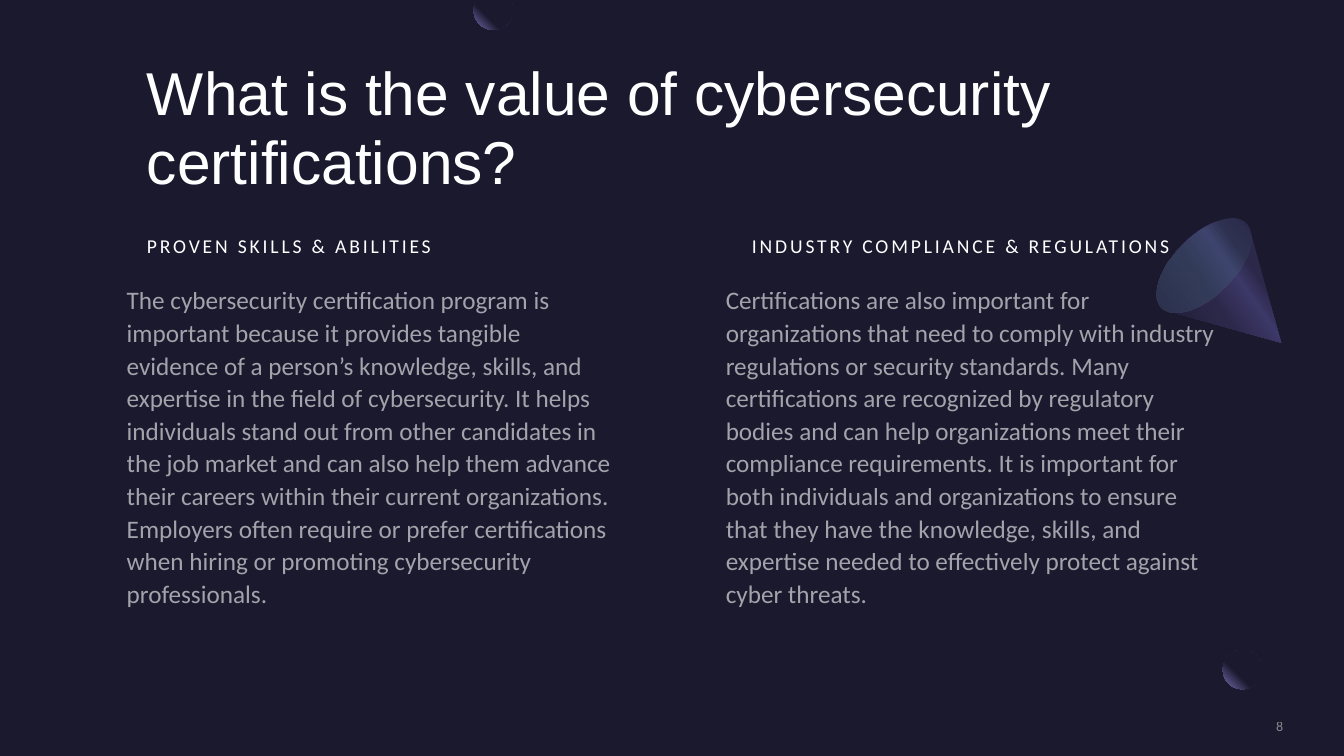
import math
import pptx
import pptx.util
import pptx.dml.color
import pptx.enum.shapes
import pptx.enum.text
import pptx.oxml
import pptx.oxml.ns
import lxml.etree

Pt = pptx.util.Pt
RGBColor = pptx.dml.color.RGBColor
MSO_SHAPE = pptx.enum.shapes.MSO_SHAPE
PP_ALIGN = pptx.enum.text.PP_ALIGN
MSO_ANCHOR = pptx.enum.text.MSO_ANCHOR
qn = pptx.oxml.ns.qn

NIGHT = RGBColor(0x1B, 0x19, 0x2E)
LAVENDER = RGBColor(0x77, 0x71, 0xB2)
CONE_DARK = RGBColor(0x2C, 0x28, 0x4A)
CONE_LIGHT = RGBColor(0x3C, 0x38, 0x67)
BASE_PURPLE = RGBColor(0x45, 0x40, 0x75)
BASE_MINT = RGBColor(0x5B, 0xEF, 0xC1)
WHITE = RGBColor(0xFF, 0xFF, 0xFF)
GREY = RGBColor(0xA6, 0xA6, 0xA6)

# Direction elements of the two kinds of gradient
BALL_SHADE = ('<a:path path="circle"><a:fillToRect l="100000" t="0" r="0" b="100000"/>'
              '</a:path>')
BALL_STOPS = [(60, NIGHT, 100), (100, LAVENDER, 100)]
LINEAR_SHADE = '<a:lin ang="{}" scaled="0"/>'


def paint_gradient(shape, stops, shade):
    """Fill a shape from (position, colour, opacity) stops, without line or shadow."""
    shape.shadow.inherit = False
    shape.line.fill.background()
    shape.fill.background()
    stop_xml = "".join(
        f'<a:gs pos="{position * 1000}"><a:srgbClr val="{colour}">'
        f'<a:alpha val="{opacity * 1000}"/></a:srgbClr></a:gs>'
        for position, colour, opacity in stops)
    gradient = pptx.oxml.parse_xml(
        f'<a:gradFill {pptx.oxml.ns.nsdecls("a")} rotWithShape="1">'
        f'<a:gsLst>{stop_xml}</a:gsLst>{shade}</a:gradFill>')
    properties = shape._element.spPr
    properties.replace(properties.find(qn("a:noFill")), gradient)


def ellipse_arc(centre, radii, tilt, start, end):
    """Return points along a tilted ellipse, angles in degrees, lengths in points."""
    cos_tilt, sin_tilt = math.cos(math.radians(tilt)), math.sin(math.radians(tilt))
    points = []
    for angle in range(start, end + 1, 4):
        along = radii[0] * math.cos(math.radians(angle))
        across = radii[1] * math.sin(math.radians(angle))
        points.append((Pt(centre[0] + along * cos_tilt - across * sin_tilt),
                       Pt(centre[1] + along * sin_tilt + across * cos_tilt)))
    return points


presentation = pptx.Presentation()
presentation.slide_width, presentation.slide_height = Pt(960), Pt(540)
slide = presentation.slides.add_slide(presentation.slide_layouts[4])
slide.background.fill.solid()
slide.background.fill.fore_color.rgb = NIGHT
shapes = slide.shapes

# Lower ball and the veil over its right side
ball = shapes.add_shape(MSO_SHAPE.OVAL, Pt(873.4), Pt(464.4), Pt(28), Pt(28))
paint_gradient(ball, BALL_STOPS, BALL_SHADE)
veil = shapes.add_shape(MSO_SHAPE.RECTANGLE, Pt(901.4), Pt(458.6), Pt(29.5), Pt(28))
paint_gradient(veil, [(0, NIGHT, 80), (100, NIGHT, 80)], LINEAR_SHADE.format(0))

# Cone: side first, then its base
outlines = [
    (ellipse_arc((860, 189.4), (42.5, 21.25), -45, 164, 376) + [(Pt(915.1), Pt(244.8))],
     [(30, CONE_DARK, 100), (40, CONE_LIGHT, 100), (60, CONE_DARK, 100), (100, NIGHT, 100)],
     LINEAR_SHADE.format(145 * 60000)),
    # Upper ball, cut by the top edge of the slide
    (ellipse_arc((352.4, 7.4), (14, 14), 0, -32, 212), BALL_STOPS, BALL_SHADE),
]
for points, stops, shade in outlines:
    builder = shapes.build_freeform(*points[0])
    builder.add_line_segments(points[1:], close=True)
    paint_gradient(builder.convert_to_shape(), stops, shade)

cone_base = shapes.add_shape(MSO_SHAPE.OVAL, Pt(838.75), Pt(146.9), Pt(42.5), Pt(85))
cone_base.rotation = 225
paint_gradient(cone_base, [(0, BASE_PURPLE, 33), (100, BASE_MINT, 0)],
               LINEAR_SHADE.format(90 * 60000))

# Text: shape, box, wording, size, font, colour, opacity, line spacing, tracking, anchor, align
title, left_head, left_body, right_head, right_body = list(slide.placeholders)[:5]
page_number = shapes.add_textbox(0, 0, 0, 0)
TOP, BOTTOM, MIDDLE = MSO_ANCHOR.TOP, MSO_ANCHOR.BOTTOM, MSO_ANCHOR.MIDDLE
LEFT, RIGHT = PP_ALIGN.LEFT, PP_ALIGN.RIGHT
texts = [
    (title, (105, 43.2, 771, 96), "What is the value of cybersecurity certifications?",
     43.2, "Arial", WHITE, 100, 0.95, 0, TOP, LEFT),
    (left_head, (105, 166.3, 233, 17.3), "PROVEN SKILLS & ABILITIES",
     14, "Calibri", WHITE, 100, 1.1, 200, BOTTOM, LEFT),
    (left_body, (90.5, 201.6, 350.6, 305),
     "The cybersecurity certification program is important because it provides tangible "
     "evidence of a person’s knowledge, skills, and expertise in the field of cybersecurity. "
     "It helps individuals stand out from other candidates in the job market and can also "
     "help them advance their careers within their current organizations. Employers often "
     "require or prefer certifications when hiring or promoting cybersecurity professionals.",
     18, "Calibri", WHITE, 60, 1.08, 0, TOP, LEFT),
    (right_head, (537.1, 166.3, 350.6, 17.3), "INDUSTRY COMPLIANCE & REGULATIONS",
     14, "Calibri", WHITE, 100, 1.1, 200, BOTTOM, LEFT),
    (right_body, (518.4, 201.6, 350.6, 278),
     "Certifications are also important for organizations that need to comply with industry "
     "regulations or security standards. Many certifications are recognized by regulatory "
     "bodies and can help organizations meet their compliance requirements. It is important "
     "for both individuals and organizations to ensure that they have the knowledge, skills, "
     "and expertise needed to effectively protect against cyber threats.",
     18, "Calibri", WHITE, 60, 1.08, 0, TOP, LEFT),
    (page_number, (783.4, 512.6, 133.2, 12.2), "8",
     10, "Calibri", GREY, 80, 1, 0, MIDDLE, RIGHT),
]
for (shape, box, wording, size, font_name, colour, opacity,
     line_spacing, tracking, anchor, alignment) in texts:
    shape.left, shape.top, shape.width, shape.height = [Pt(length) for length in box]
    frame = shape.text_frame
    frame.word_wrap = True
    frame.auto_size = pptx.enum.text.MSO_AUTO_SIZE.NONE
    frame.vertical_anchor = anchor
    frame.margin_left = frame.margin_top = frame.margin_right = frame.margin_bottom = 0
    paragraph = frame.paragraphs[0]
    paragraph.alignment = alignment
    paragraph.line_spacing = line_spacing
    paragraph.space_before = Pt(0)
    properties = paragraph._p.get_or_add_pPr()
    properties.set("marL", "0")
    properties.set("indent", "0")
    lxml.etree.SubElement(properties, qn("a:buNone"))
    run = paragraph.add_run()
    run.text = wording
    run.font.size = Pt(size)
    run.font.name = font_name
    run.font.bold = False
    run.font.color.rgb = colour
    run_properties = run._r.get_or_add_rPr()
    if tracking:
        run_properties.set("spc", str(tracking))
    if opacity < 100:
        colour_element = run_properties.find(".//" + qn("a:srgbClr"))
        lxml.etree.SubElement(colour_element, qn("a:alpha"), val=str(opacity * 1000))
    # Text lies in front of the decoration
    shapes._spTree.append(shape._element)

presentation.save("out.pptx")
